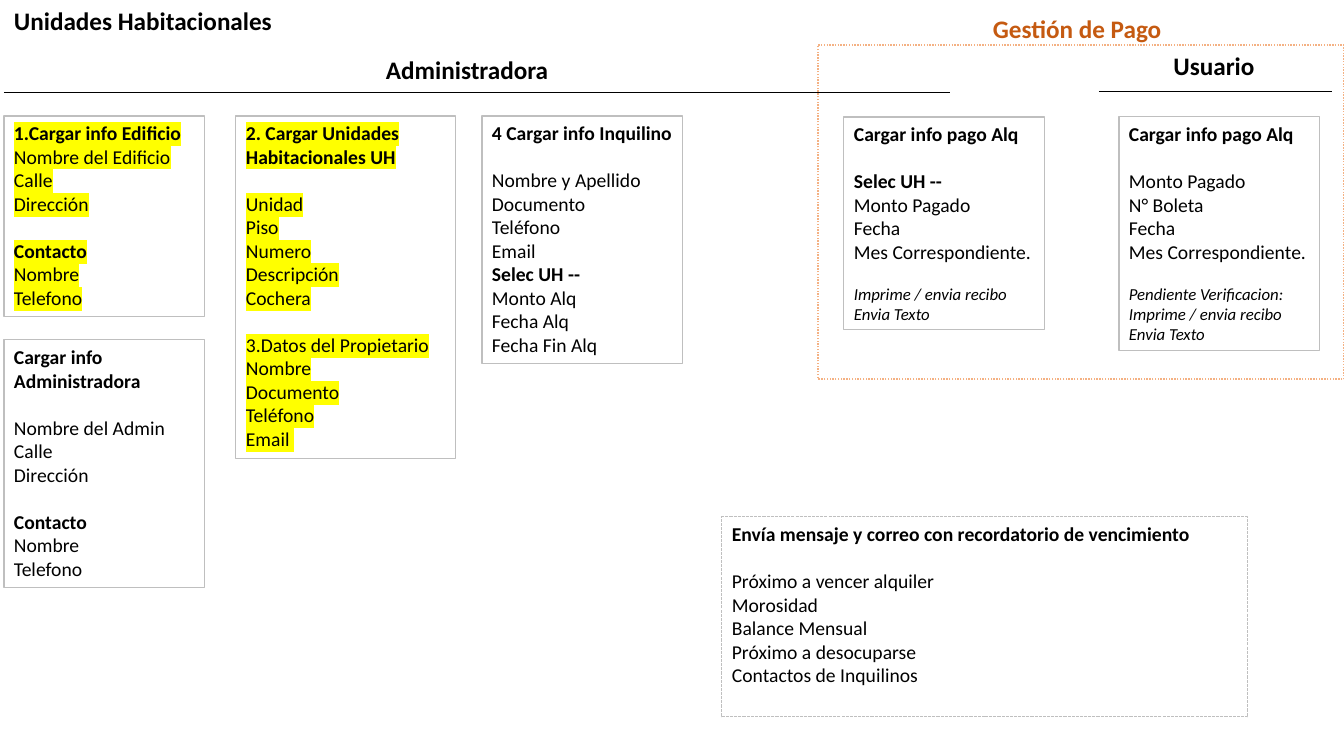
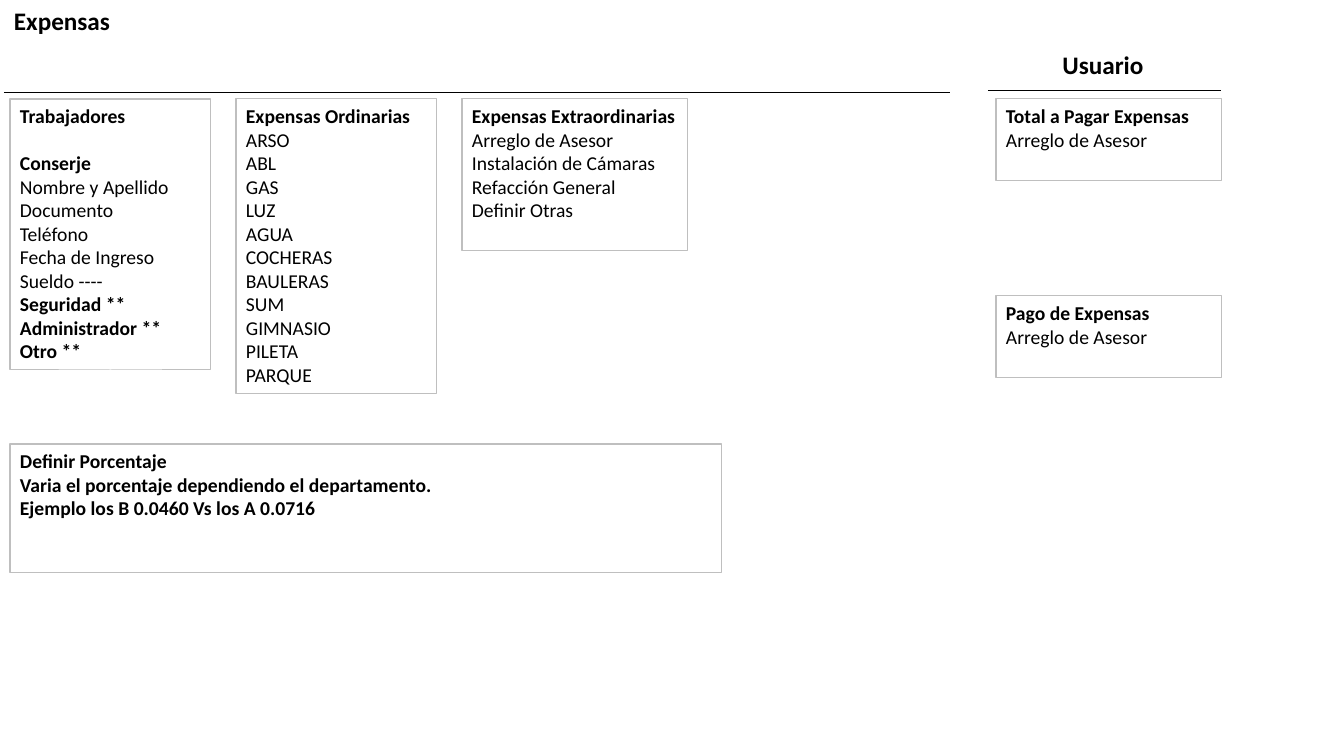
from dataclasses import dataclass
from lxml.etree import SubElement
from pptx import Presentation
from pptx.dml.color import RGBColor as RGB
from pptx.enum.dml import MSO_LINE as DASH
from pptx.enum.shapes import MSO_CONNECTOR as CONN, MSO_SHAPE as SHAPE
from pptx.enum.text import MSO_ANCHOR as ANCHOR, MSO_AUTO_SIZE as FIT, PP_ALIGN as ALIGN
from pptx.oxml.ns import qn
from pptx.util import Pt

SCALE = 914400 / 100.8


@dataclass(frozen=True)
class Theme:
    font: str = "Calibri"
    ink: str = "000000"
    border: str = "BFBFBF"
    marker: str = "FFFF00"
    accent: str = "C55A11"
    accent_border: str = "F4B183"
    title: float = 18
    body: float = 14
    note: float = 12
    leading: float = 1.2
    rule: float = 0.5
    thin: float = 0.75
    zone: float = 1


T = Theme()


def px(n):
    return round(n * SCALE)


def write(p, text, size=T.body, color=T.ink, bold=False, italic=False,
          highlight=None, align=ALIGN.LEFT, before=0):
    p.alignment = align
    p.space_before = Pt(before)
    r = p.add_run()
    r.text = text
    f = r.font
    f.size, f.bold, f.italic = Pt(size), bold, italic
    f.color.rgb = RGB.from_string(color)
    if highlight:
        mark = SubElement(r._r.get_or_add_rPr(), qn("a:highlight"))
        SubElement(mark, qn("a:srgbClr"), val=highlight)
    f.name = T.font


def prepare(tf):
    tf.word_wrap = True
    tf.auto_size = FIT.NONE
    tf.vertical_anchor = ANCHOR.TOP


def label(s, box, text, **fmt):
    tf = s.shapes.add_textbox(*map(px, box)).text_frame
    prepare(tf)
    write(tf.paragraphs[0], text, size=T.title, bold=True, **fmt)


def rule(s, x1, x2, y):
    ln = s.shapes.add_connector(CONN.STRAIGHT, px(x1), px(y), px(x2), px(y))
    ln.line.color.rgb = RGB.from_string(T.ink)
    ln.line.width = Pt(T.rule)
    SubElement(ln._element.spPr, qn("a:effectLst"))


def frame(s, box, color=T.border, width=T.thin, dash=None):
    sp = s.shapes.add_shape(SHAPE.RECTANGLE, *map(px, box))
    sp.shadow.inherit = False
    sp.fill.background()
    sp.line.color.rgb = RGB.from_string(color)
    sp.line.width = Pt(width)
    if dash:
        sp.line.dash_style = dash
    return sp


def card(s, box, *blocks, highlight=None, dash=None):
    """Blocks are set apart by one line; * starts a bold line, _ an italic note."""
    tf = frame(s, box, dash=dash).text_frame
    prepare(tf)
    p = tf.paragraphs[0]
    for b, block in enumerate(blocks):
        for i, line in enumerate(block.split("|")):
            if b or i:
                p = tf.add_paragraph()
            bold, italic = line.startswith("*"), line.startswith("_")
            size = T.note if italic else T.body
            write(p, line[1:] if bold or italic else line, size=size, bold=bold,
                  italic=italic, highlight=highlight,
                  before=size * T.leading if b and not i else 0)


def page_header(s, title):
    label(s, (4, 0, 396, 40), title)
    rule(s, 4, 950, 92)


def user_header(s, x, y):
    label(s, (x, y, 236, 40), "Usuario", align=ALIGN.CENTER)
    rule(s, x + 3, x + 236, y + 46)


def payment_zone(s, x, y, w, h):
    label(s, (x + 165, y - 37, 236, 40), "Gestión de Pago", color=T.accent)
    frame(s, (x, y, w, h), T.accent_border, T.zone, DASH.ROUND_DOT)
    user_header(s, x + 278, y)
    top, title = y + 72, "*Cargar info pago Alq"
    card(s, (x + 26, top, 201, 213), title,
         "*Selec UH --|Monto Pagado|Fecha|Mes Correspondiente.",
         "_Imprime / envia recibo|_Envia Texto")
    card(s, (x + 301, top, 201, 234), title,
         "Monto Pagado|N° Boleta|Fecha|Mes Correspondiente.",
         "_Pendiente Verificacion:|_Imprime / envia recibo|_Envia Texto")


def housing_slide(s):
    page_header(s, "Unidades Habitacionales")
    label(s, (376, 49, 236, 40), "Administradora")
    top, contact = 116, "*Contacto|Nombre|Telefono"
    card(s, (4, top, 201, 201),
         "*1.Cargar info Edificio|Nombre del Edificio|Calle|Dirección",
         contact, highlight=T.marker)
    card(s, (4, 340, 201, 248), "*Cargar info Administradora",
         "Nombre del Admin|Calle|Dirección", contact)
    card(s, (236, top, 220, 343), "*2. Cargar Unidades|*Habitacionales UH",
         "Unidad|Piso|Numero|Descripción|Cochera",
         "3.Datos del Propietario|Nombre|Documento|Teléfono|Email ",
         highlight=T.marker)
    card(s, (482, top, 201, 248), "*4 Cargar info Inquilino",
         "Nombre y Apellido|Documento|Teléfono|Email|*Selec UH --|"
         "Monto Alq|Fecha Alq|Fecha Fin Alq")
    payment_zone(s, 818, 45, 526, 334)
    card(s, (722, 517, 526, 200),
         "*Envía mensaje y correo con recordatorio de vencimiento",
         "Próximo a vencer alquiler|Morosidad|Balance Mensual|"
         "Próximo a desocuparse|Contactos de Inquilinos",
         dash=DASH.SQUARE_DOT)


def expenses_slide(s):
    page_header(s, "Expensas")
    user_header(s, 985, 44)
    left, top, pitch = 10, 99, 226
    columns = [
        (201, 271, ["*Trabajadores",
                    "*Conserje|Nombre y Apellido|Documento|Teléfono|Fecha de Ingreso|"
                    "Sueldo ----|*Seguridad **|*Administrador **|*Otro **"]),
        (201, 295, ["*Expensas Ordinarias|ARSO|ABL|GAS|LUZ|AGUA|COCHERAS|BAULERAS|"
                    "SUM|GIMNASIO|PILETA|PARQUE"]),
        (226, 152, ["*Expensas Extraordinarias|Arreglo de Asesor|"
                    "Instalación de Cámaras|Refacción General|Definir Otras"]),
    ]
    for i, (w, h, blocks) in enumerate(columns):
        card(s, (left + i * pitch, top, w, h), *blocks)
    for y, title in ((top, "Total a Pagar Expensas"), (296, "Pago de Expensas")):
        card(s, (996, y, 226, 82), f"*{title}|Arreglo de Asesor")
    card(s, (left, 444, 712, 129),
         "*Definir Porcentaje|*Varia el porcentaje dependiendo el departamento.|"
         "*Ejemplo los B 0.0460 Vs los A 0.0716")


prs = Presentation()
prs.slide_width, prs.slide_height = px(1344), px(756)
for build in (housing_slide, expenses_slide):
    build(prs.slides.add_slide(prs.slide_layouts[6]))
prs.save("out.pptx")
